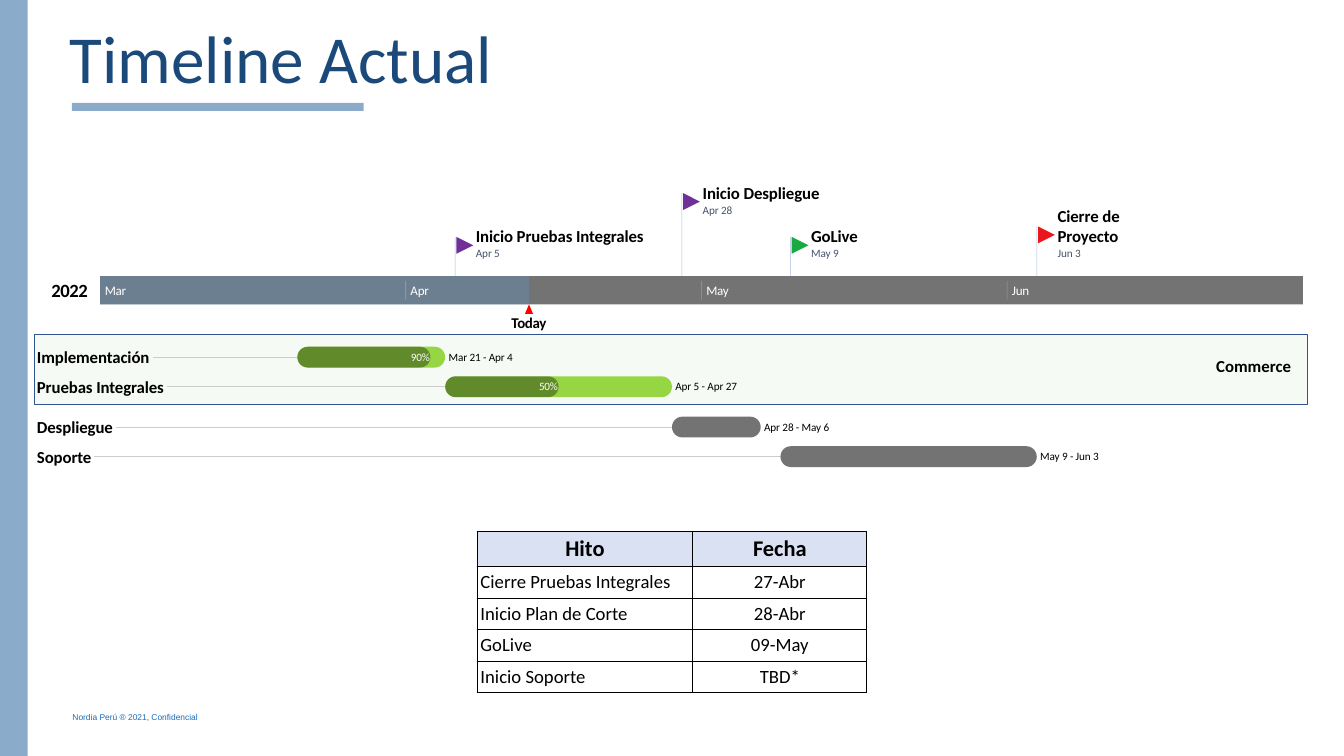
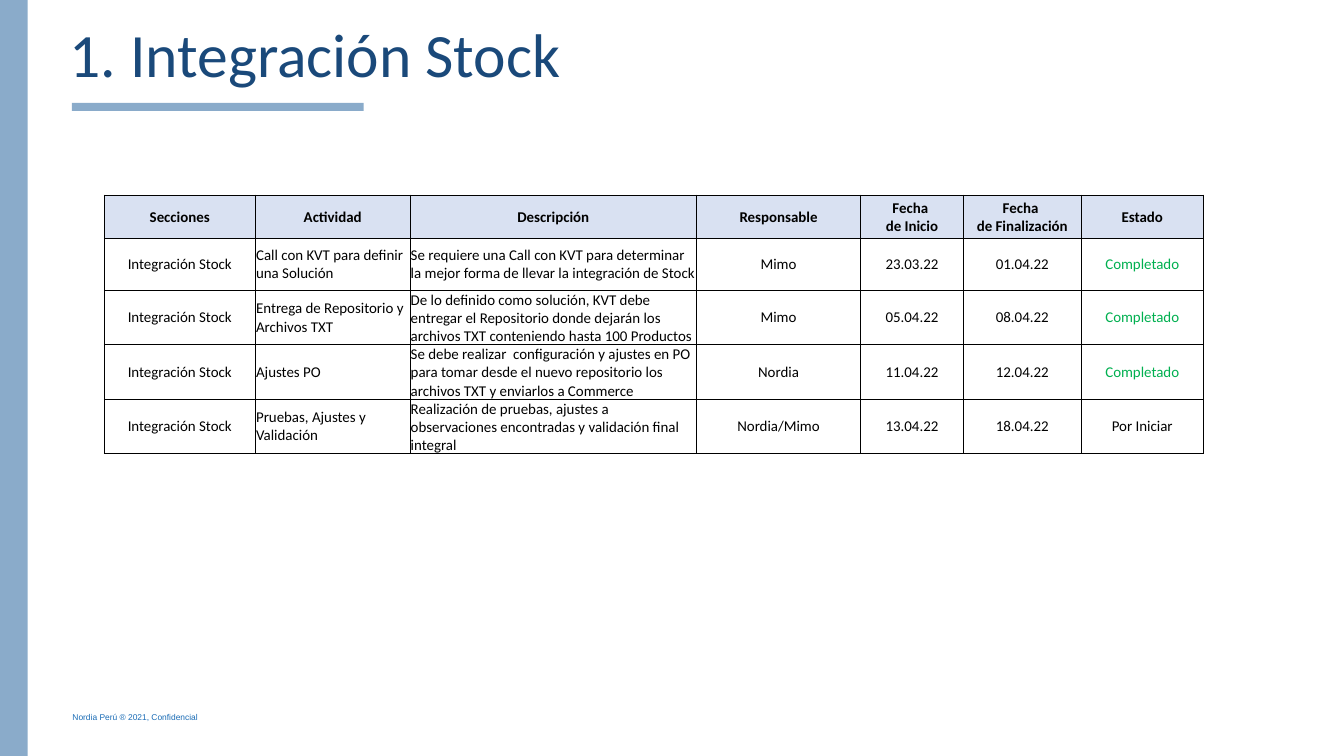
from collections import namedtuple

from lxml.etree import SubElement
from pptx import Presentation
from pptx.dml.color import RGBColor
from pptx.enum.shapes import MSO_CONNECTOR as CONN, MSO_SHAPE as SHAPE
from pptx.enum.text import MSO_ANCHOR as ANCHOR, PP_ALIGN as ALIGN
from pptx.oxml.ns import qn
from pptx.util import Inches, Pt

Box = namedtuple("Box", "x y w h")
COLS, ROWS = 20, 11.25
COL = Inches(1)
BLACK, WHITE, GRAY = "000000", "FFFFFF", "737373"
ACCENT, NAVY, FOOTER_BLUE = "8AABCA", "1A497A", "1A6CB6"
HEADER_FILL, DONE_GREEN, PLAN_GREEN = "D9E1F2", "00B050", "96D642"
PURPLE, GREEN, RED = "6F3198", "1AAA42", "EA161E"

MONTHS = {"Mar": 0, "Apr": 31, "May": 61, "Jun": 92}
TOTAL_DAYS, TODAY = 122, 43.5
MILESTONES = [
    ("Inicio Pruebas Integrales", "Apr 5", PURPLE, 3.67, 2.56),
    ("Inicio Despliegue", "Apr 28", PURPLE, 3.02, 1.78),
    ("GoLive", "May 9", GREEN, 3.67, 0.73),
    ("Cierre de\nProyecto", "Jun 3", RED, 3.67, 1),
]
TASKS = [
    ("Implementación", "Mar 21 - Apr 4", 0.9, 1.71),
    ("Pruebas Integrales", "Apr 5 - Apr 27", 0.5, 1.92),
    ("Despliegue", "Apr 28 - May 6", 0, 1.15),
    ("Soporte", "May 9 - Jun 3", 0, 0.83),
]
DATES = [
    ("Hito", "Fecha"),
    ("Cierre Pruebas Integrales", "27-Abr"),
    ("Inicio Plan de Corte", "28-Abr"),
    ("GoLive", "09-May"),
    ("Inicio Soporte", "TBD*"),
]
SECTION = "Integración Stock"
ACTIVITIES = [
    ("Secciones", "Actividad", "Descripción", "Responsable",
     "Fecha \vde Inicio", "Fecha \vde Finalización", "Estado"),
    (SECTION, "Call con KVT para definir una Solución",
     "Se requiere una Call con KVT para determinar la mejor forma de llevar la integración de Stock",
     "Mimo", "23.03.22", "01.04.22", "Completado"),
    (SECTION, "Entrega de Repositorio y Archivos TXT",
     "De lo definido como solución, KVT debe entregar el Repositorio donde dejarán los "
     "archivos TXT conteniendo hasta 100 Productos",
     "Mimo", "05.04.22", "08.04.22", "Completado"),
    (SECTION, "Ajustes PO",
     "Se debe realizar  configuración y ajustes en PO para tomar desde el nuevo repositorio "
     "los archivos TXT y enviarlos a Commerce",
     "Nordia", "11.04.22", "12.04.22", "Completado"),
    (SECTION, "Pruebas, Ajustes y Validación",
     "Realización de pruebas, ajustes a observaciones encontradas y validación final integral",
     "Nordia/Mimo", "13.04.22", "18.04.22", "Por Iniciar"),
]


def rgb(value):
    """Turn a hex string into a colour."""
    return RGBColor.from_string(value)


def grid(*values):
    """Turn grid columns into lengths."""
    return [int(v * COL) for v in values]


def apply(obj, **values):
    """Set attributes from a dict of format values."""
    for name, value in values.items():
        setattr(obj, name, value)


def fade(sp, opacity):
    """Give the first colour of a shape an opacity in percent."""
    color = next(sp._element.spPr.iter(qn("a:srgbClr")))
    SubElement(color, qn("a:alpha"), val=str(opacity * 1000))


def write(tf, text, size, color=BLACK, bold=False, align=None, font="Calibri", spc=0):
    """Fill a text frame with evenly formatted paragraphs."""
    tf.text = text.replace("\v", "\v")
    for p in tf.paragraphs:
        p.alignment = align
        for r in p.runs:
            apply(r.font, name=font, size=Pt(size), bold=bold)
            r.font.color.rgb = rgb(color)
            if spc:
                r._r.get_or_add_rPr().set("spc", str(spc))


def add_text(slide, box, text, size, inset=None, anchor=ANCHOR.TOP, wrap=True, **style):
    """Add a text box."""
    sp = slide.shapes.add_textbox(*grid(*box))
    tf = sp.text_frame
    apply(tf, word_wrap=wrap, vertical_anchor=anchor)
    if inset is not None:
        sides = ("margin_left", "margin_top", "margin_right", "margin_bottom")
        apply(tf, **dict.fromkeys(sides, Inches(inset)))
    write(tf, text, size, **style)
    return sp


def add_label(slide, box, text, size, spc=-10, **style):
    """Add a tight, vertically centred label."""
    return add_text(slide, box, text, size, inset=0, anchor=ANCHOR.MIDDLE, spc=spc, **style)


def add_block(slide, kind, box, fill, opacity=None, line=None):
    """Add a filled preset shape."""
    sp = slide.shapes.add_shape(kind, *grid(*box))
    sp.shadow.inherit = False
    sp.fill.solid()
    sp.fill.fore_color.rgb = rgb(fill)
    if opacity:
        fade(sp, opacity)
    if line:
        sp.line.color.rgb = rgb(line)
        sp.line.width = Pt(1)
    else:
        sp.line.fill.background()
    return sp


def add_pill(slide, box, fill, opacity=None):
    """Add a fully rounded bar."""
    sp = add_block(slide, SHAPE.ROUNDED_RECTANGLE, box, fill, opacity)
    sp.adjustments[0] = 0.5
    return sp


def add_line(slide, start, end, color, opacity=None):
    """Add a thin straight line."""
    line = slide.shapes.add_connector(CONN.STRAIGHT, *grid(*start, *end))
    line.line.color.rgb = rgb(color)
    line.line.width = Pt(0.6)
    SubElement(line._element.spPr, qn("a:effectLst"))
    if opacity:
        fade(line, opacity)
    return line


def add_border(cell, width):
    """Draw the four black borders of a table cell."""
    for side in ("lnL", "lnR", "lnT", "lnB"):
        ln = SubElement(cell._tc.get_or_add_tcPr(), qn(f"a:{side}"), w=str(Pt(width)))
        SubElement(SubElement(ln, qn("a:solidFill")), qn("a:srgbClr"), val=BLACK)


def add_grid_table(slide, box, rows, widths, head, body, sizes, left, margins, border):
    """Add a bordered table with a tinted header row."""
    table = slide.shapes.add_table(len(rows), len(widths), *grid(*box)).table
    apply(table, first_row=False, horz_banding=False)
    for column, width in zip(table.columns, widths):
        column.width = grid(box.w * width / sum(widths))[0]
    for i, values in enumerate(rows):
        table.rows[i].height = grid(body if i else head)[0]
        for j, value in enumerate(values):
            cell = table.cell(i, j)
            add_border(cell, border)
            side, top = margins
            apply(cell, vertical_anchor=ANCHOR.MIDDLE, margin_left=Inches(side),
                  margin_right=Inches(side), margin_top=Inches(top), margin_bottom=0)
            if i:
                cell.fill.background()
            else:
                cell.fill.solid()
                cell.fill.fore_color.rgb = rgb(HEADER_FILL)
            write(cell.text_frame, value, sizes[min(i, 1)], bold=not i,
                  color=DONE_GREEN if value == "Completado" else BLACK,
                  align=ALIGN.LEFT if i and j in left else ALIGN.CENTER)


def add_frame(prs, title, size):
    """Add a slide with the side band, title, rule and footer."""
    slide = prs.slides.add_slide(prs.slide_layouts[6])
    add_block(slide, SHAPE.RECTANGLE, Box(1.07, 1.53, 4.34, 0.12), ACCENT)
    add_block(slide, SHAPE.RECTANGLE, Box(0, 0, 0.41, ROWS), ACCENT)
    add_text(slide, Box(0.98, 10.55, 2.11, 0.25), "Nordia Perú ® 2021, Confidencial", 9,
             wrap=False, font="Arial", color=FOOTER_BLUE)
    add_text(slide, Box(0.94, 0.19, 15, 1.3), title, size, color=NAVY)
    return slide


def day_x(band, day):
    """Place a day number on the time band."""
    return band.x + band.w * day / TOTAL_DAYS


def day_of(date):
    """Count the days from the band's start to a date such as Apr 5."""
    month, day = date.split()
    return MONTHS[month] + int(day) - 1


def add_band(slide, band):
    """Draw the time band with its months and today's mark."""
    now = day_x(band, TODAY)
    bottom = band.y + band.h
    add_label(slide, Box(band.x - 0.73, band.y + 0.04, 0.55, 0.34), "2022", 20, spc=-50,
              bold=True, align=ALIGN.CENTER, wrap=False)
    add_block(slide, SHAPE.RECTANGLE, band, GRAY)
    add_block(slide, SHAPE.RECTANGLE, band._replace(w=now - band.x), "5B9BD5", 30)
    add_block(slide, SHAPE.ISOSCELES_TRIANGLE, Box(now - 0.06, bottom, 0.12, 0.14), "FF0000")
    add_label(slide, Box(now - 0.27, bottom + 0.14, 0.54, 0.27), "Today", 16, spc=-30,
              bold=True, align=ALIGN.CENTER, wrap=False)
    for month, day in MONTHS.items():
        x = day_x(band, day)
        add_label(slide, Box(x + 0.07, band.y + 0.09, 0.35, 0.24), month, 14, spc=-30, color=WHITE)
        if day:
            add_line(slide, (x, band.y + 0.07), (x, bottom - 0.07), WHITE, 30)


def add_milestones(slide, band):
    """Raise a flag with name and date for each milestone above the band."""
    for name, date, color, date_y, width in MILESTONES:
        x = day_x(band, day_of(date) + 1)
        height = 0.31 * len(name.split("\n"))
        flag_y = date_y + 0.01 - height / 2
        add_line(slide, (x, flag_y), (x, band.y), "4F81BD", 50)
        flag = add_block(slide, SHAPE.FLOWCHART_MERGE, Box(x + 0.02, flag_y, 0.25, 0.25), color)
        flag.rotation = 270
        add_label(slide, Box(x + 0.31, date_y - height, width, height), name, 18, bold=True)
        add_label(slide, Box(x + 0.31, date_y, 0.48, 0.2), date, 12, color="44546A")


def add_tasks(slide, band, box):
    """Draw the task bars under the band, the first two inside a framed group."""
    add_block(slide, SHAPE.RECTANGLE, box, "E2F0D9", 28, "325491")
    add_text(slide, Box(box.x + 17.03, box.y + 0.28, 2.23, 0.4), "Commerce", 18,
             bold=True, align=ALIGN.CENTER)
    for i, (name, dates, done, width) in enumerate(TASKS):
        y = box.y + 0.19 + 0.44 * i + 0.16 * (i > 1)
        first, last = dates.split(" - ")
        x, end = day_x(band, day_of(first)), day_x(band, day_of(last) + 1)
        bar_box = Box(x, y, end - x, 0.31)
        label = add_label(slide, Box(box.x + 0.04, y, width + 0.02, 0.31), name, 18, bold=True)
        bar = add_pill(slide, bar_box, PLAN_GREEN if done else GRAY)
        leader = add_line(slide, (box.x + width, y), (x, y), "CCCCCC")
        leader.begin_connect(label, 3)
        leader.end_connect(bar, 1)
        if done:
            add_pill(slide, bar_box._replace(w=bar_box.w * done), BLACK, 35)
            add_label(slide, Box(x + bar_box.w * done - 0.3, y + 0.05, 0.3, 0.2), f"{done:.0%}", 12,
                      spc=-20, color=WHITE, align=ALIGN.CENTER)
        add_label(slide, Box(end + 0.05, y + 0.05, 1.02, 0.2), dates, 12)


def timeline_slide(prs):
    """Build the timeline with its table of dates."""
    slide = add_frame(prs, "Timeline Actual", 72)
    band = Box(1.49, 4.11, 17.9, 0.42)
    add_band(slide, band)
    add_milestones(slide, band)
    add_tasks(slide, band, Box(0.51, 4.97, 18.95, 1.05))
    add_grid_table(slide, Box(7.1, 7.91, 5.8, 2.4), DATES, (3.21, 2.59), 0.52, 0.47,
                   (24, 20), {0}, (0.05, 0), 1)


def activities_slide(prs):
    """Build the table of activities."""
    slide = add_frame(prs, "1. Integración Stock", 66)
    add_grid_table(slide, Box(1.55, 2.9, 16.36, 3.73), ACTIVITIES,
                   (2.25, 2.3, 4.26, 2.44, 1.53, 1.75, 1.82), 0.65, 0.77,
                   (16, 16), {1, 2}, (0.01, 0.01), 0.5)


def main():
    """Build and save the presentation."""
    prs = Presentation()
    prs.slide_width, prs.slide_height = grid(COLS, ROWS)
    timeline_slide(prs)
    activities_slide(prs)
    prs.save("out.pptx")


if __name__ == "__main__":
    main()
